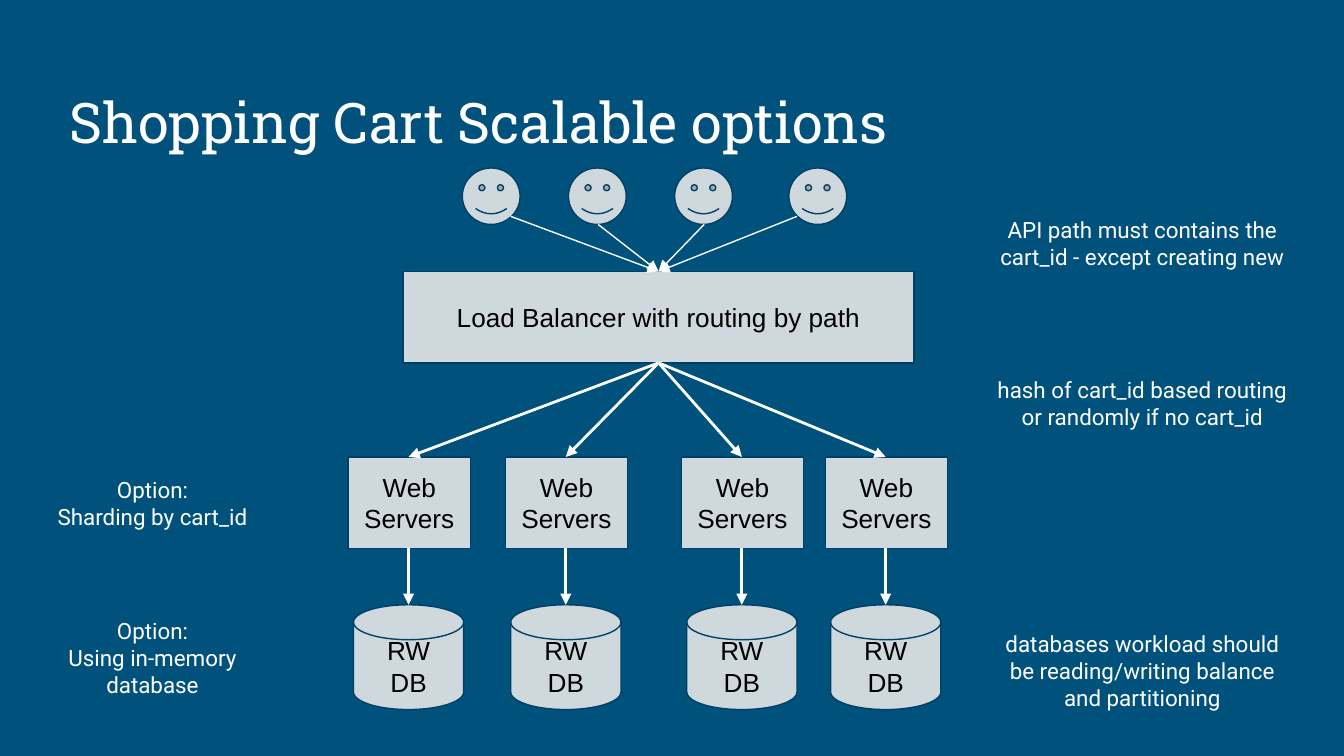
from dataclasses import dataclass

from lxml import etree
from pptx import Presentation
from pptx import util as u
from pptx.dml import color
from pptx.enum import shapes, text
from pptx.oxml import ns

WHITE, BLACK, PALE, NAVY, BLUE = "FFFFFF", "000000", "CFD8DC", "004065", "00517C"
HUB_X, HUB_TOP, HUB_BOTTOM = 4.9, 2.02, 2.7
SERVER_TOP, SERVER_BOTTOM, DATABASE_TOP = 3.4, 4.08, 4.5
COLUMN_CENTERS = (3.04, 4.21, 5.52, 6.59)
LEFT_NOTE, RIGHT_NOTE = (0.26, 1.75), (7.31, 2.38)
FRAME_FORMAT = {
    "word_wrap": True,
    "margin_left": u.Inches(0.1),
    "margin_right": u.Inches(0.1),
    "margin_top": u.Inches(0.1),
    "margin_bottom": u.Inches(0.1),
}


@dataclass
class Node:
    kind: shapes.MSO_SHAPE
    left: float
    top: float
    width: float
    height: float
    label: str = ""


@dataclass
class Arrow:
    start: tuple[float, float]
    end: tuple[float, float]
    weight: float


@dataclass
class Note:
    column: tuple[float, float]
    top: float
    height: float
    lines: tuple[str, ...]


@dataclass
class User:
    left: float
    arrow_start: tuple[float, float]


USERS = (
    User(3.44, (3.8, 1.61)),
    User(4.23, (4.45, 1.67)),
    User(5.02, (5.24, 1.67)),
    User(5.87, (5.93, 1.61)),
)
NOTES = (
    Note(LEFT_NOTE, 3.44, 0.61, ("Option:", "Sharding by cart_id")),
    Note(LEFT_NOTE, 4.49, 0.81, ("Option:", "Using in-memory database")),
    Note(RIGHT_NOTE, 1.51, 0.61, ("API path must contains the cart_id - except creating new",)),
    Note(RIGHT_NOTE, 2.7, 0.61, ("hash of cart_id based routing or randomly if no cart_id",)),
    Note(RIGHT_NOTE, 4.59, 0.81, ("databases workload should be reading/writing balance and partitioning",)),
)


def rgb(value: str) -> color.RGBColor:
    return color.RGBColor.from_string(value)


def apply_format(target, values: dict) -> None:
    for name, value in values.items():
        setattr(target, name, value)


def write_text(frame, lines, font: str, size: float, font_color: str, anchor, alignment, auto_size) -> None:
    apply_format(frame, FRAME_FORMAT | {"vertical_anchor": anchor, "auto_size": auto_size})
    frame.text = "\n".join(lines)
    for paragraph in frame.paragraphs:
        paragraph.alignment = alignment
        for run in paragraph.runs:
            apply_format(run.font, {"name": font, "size": u.Pt(size)})
            run.font.color.rgb = rgb(font_color)


def draw_title(slide, title: str) -> None:
    shape = slide.shapes.title
    apply_format(shape, {
        "left": u.Inches(0.42),
        "top": u.Inches(0.5),
        "width": u.Inches(9.15),
        "height": u.Inches(0.75),
    })
    write_text(shape.text_frame, [title], "Roboto Slab", 30, WHITE,
               text.MSO_ANCHOR.BOTTOM, text.PP_ALIGN.LEFT, text.MSO_AUTO_SIZE.NONE)


def draw_node(slide, node: Node) -> None:
    box = map(u.Inches, (node.left, node.top, node.width, node.height))
    shape = slide.shapes.add_shape(node.kind, *box)
    shape.shadow.inherit = False
    shape.fill.solid()
    shape.fill.fore_color.rgb = rgb(PALE)
    shape.line.color.rgb = rgb(NAVY)
    shape.line.width = u.Pt(0.75)
    if node.label:
        write_text(shape.text_frame, [node.label], "Arial", 14, BLACK,
                   text.MSO_ANCHOR.MIDDLE, text.PP_ALIGN.CENTER, text.MSO_AUTO_SIZE.NONE)


def draw_arrow(slide, arrow: Arrow) -> None:
    points = map(u.Inches, arrow.start + arrow.end)
    connector = slide.shapes.add_connector(shapes.MSO_CONNECTOR.STRAIGHT, *points)
    connector.line.color.rgb = rgb(WHITE)
    connector.line.width = u.Pt(arrow.weight)
    line = connector._element.spPr.find(ns.qn("a:ln"))
    etree.SubElement(line, ns.qn("a:tailEnd"), type="triangle")
    etree.SubElement(connector._element.spPr, ns.qn("a:effectLst"))


def draw_note(slide, note: Note) -> None:
    left, width = note.column
    box = slide.shapes.add_textbox(*map(u.Inches, (left, note.top, width, note.height)))
    write_text(box.text_frame, note.lines, "Roboto", 12, WHITE,
               text.MSO_ANCHOR.TOP, text.PP_ALIGN.CENTER, text.MSO_AUTO_SIZE.SHAPE_TO_FIT_TEXT)


def main() -> None:
    presentation = Presentation()
    presentation.slide_width = u.Inches(10)
    presentation.slide_height = presentation.slide_width * 9 // 16
    slide = presentation.slides.add_slide(presentation.slide_layouts[5])
    slide.background.fill.solid()
    slide.background.fill.fore_color.rgb = rgb(BLUE)
    draw_title(slide, "Shopping Cart Scalable options")

    kinds = shapes.MSO_SHAPE
    draw_node(slide, Node(kinds.FLOWCHART_PROCESS, 3, HUB_TOP, 3.8, HUB_BOTTOM - HUB_TOP,
                          "Load Balancer with routing by path"))
    for user in USERS:
        draw_node(slide, Node(kinds.SMILEY_FACE, user.left, 1.25, 0.43, 0.42))
        draw_arrow(slide, Arrow(user.arrow_start, (HUB_X, HUB_TOP), 0.75))
    for center in COLUMN_CENTERS:
        draw_node(slide, Node(kinds.RECTANGLE, center - 0.45, SERVER_TOP, 0.91,
                              SERVER_BOTTOM - SERVER_TOP, "Web Servers"))
        draw_node(slide, Node(kinds.FLOWCHART_MAGNETIC_DISK, center - 0.41, DATABASE_TOP,
                              0.82, 0.78, "RW DB"))
        draw_arrow(slide, Arrow((HUB_X, HUB_BOTTOM), (center, SERVER_TOP), 1.5))
        draw_arrow(slide, Arrow((center, SERVER_BOTTOM), (center, DATABASE_TOP), 1.5))
    for note in NOTES:
        draw_note(slide, note)
    presentation.save("out.pptx")


if __name__ == "__main__":
    main()
